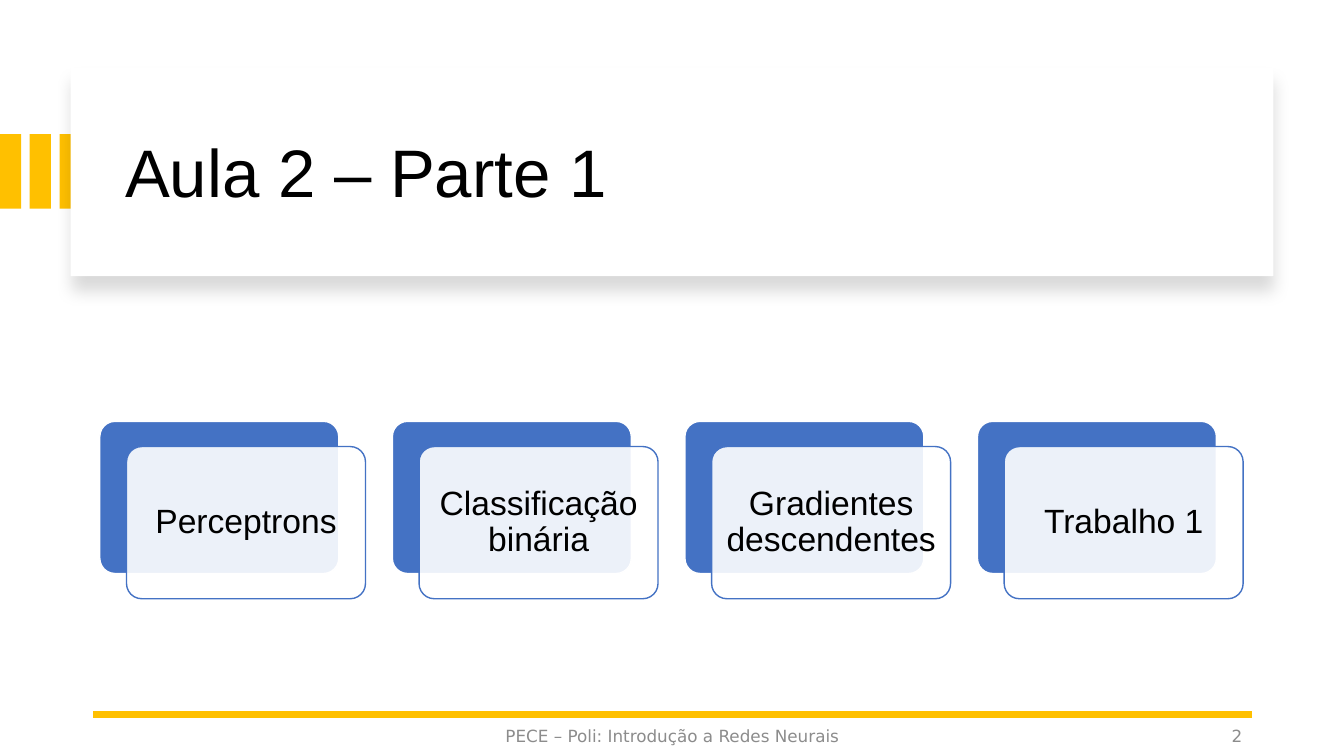
from dataclasses import dataclass

from lxml.etree import SubElement
from pptx import Presentation
from pptx.dml.color import RGBColor
from pptx.enum.shapes import MSO_CONNECTOR, MSO_SHAPE
from pptx.enum.text import MSO_ANCHOR, MSO_AUTO_SIZE, PP_ALIGN
from pptx.oxml.ns import qn
from pptx.util import Inches, Pt


@dataclass(frozen=True)
class Theme:
    """Colours, fonts and type sizes of the slide."""
    white: str = "FFFFFF"
    black: str = "000000"
    gold: str = "FFC000"
    blue: str = "4472C4"
    grey: str = "8C8C8C"
    font: str = "Arial"
    footer_font: str = "DejaVu Sans"
    title_size: int = 48
    card_size: int = 24
    footer_size: int = 12


THEME = Theme()


def add_box(s, kind, box, fill, line=None):
    """Add a filled shape without shadow, outlined if a line colour is given."""
    sp = s.shapes.add_shape(kind, *map(Inches, box))
    sp.shadow.inherit = False
    sp.fill.solid()
    sp.fill.fore_color.rgb = RGBColor.from_string(fill)
    if line:
        sp.line.color.rgb = RGBColor.from_string(line)
        sp.line.width = Pt(1)
    else:
        sp.line.fill.background()
    return sp


def write(sp, text, font, size, color, align, spacing=None, after=0):
    """Write one formatted paragraph, vertically centred in a shape."""
    tf = sp.text_frame
    tf.word_wrap = True
    tf.auto_size = MSO_AUTO_SIZE.NONE
    tf.vertical_anchor = MSO_ANCHOR.MIDDLE
    p = tf.paragraphs[0]
    p.alignment = align
    p.line_spacing = spacing
    p.space_after = Pt(after)
    r = p.add_run()
    r.text = text
    r.font.name = font
    r.font.size = Pt(size)
    r.font.color.rgb = RGBColor.from_string(color)


def add_alpha(color, percent):
    """Set the opacity of a colour element."""
    SubElement(color, qn("a:alpha"), val=str(percent * 1000))


def add_header(s, left, top, width, height, text):
    """Draw the gold bars, the shadowed panel and the title."""
    for i in range(3):
        add_box(s, MSO_SHAPE.RECTANGLE, (i * 0.295, top + 0.66, 0.21, 0.74), THEME.gold)
    panel = add_box(s, MSO_SHAPE.RECTANGLE, (left, top, width, height), THEME.white)
    effects = panel._element.spPr.find(qn("a:effectLst"))
    shadow = SubElement(effects, qn("a:outerShdw"), blurRad=str(Pt(11)),
                        dist=str(Pt(10)), dir="5400000", algn="t", rotWithShape="0")
    add_alpha(SubElement(shadow, qn("a:srgbClr"), val=THEME.black), 15)

    title = s.shapes.title
    title.left, title.top = Inches(left + 0.44), Inches(top + 0.22)
    title.width, title.height = Inches(width - 0.8), Inches(height - 0.37)
    write(title, text, THEME.font, THEME.title_size, THEME.black, PP_ALIGN.LEFT, 0.9)
    panel._element.addnext(title._element)


def add_card(s, left, top, width, height, text):
    """Draw a blue card with a translucent labelled card offset over it."""
    add_box(s, MSO_SHAPE.ROUNDED_RECTANGLE, (left, top, width, height),
            THEME.blue, THEME.white).adjustments[0] = 0.1
    x, y = left + 0.265, top + 0.25
    front = add_box(s, MSO_SHAPE.ROUNDED_RECTANGLE, (x, y, width, height),
                    THEME.white, THEME.blue)
    front.adjustments[0] = 0.1
    add_alpha(front._element.spPr.find(qn("a:solidFill"))[0], 90)

    inset = 0.04
    label = s.shapes.add_textbox(Inches(x + inset), Inches(y + inset),
                                 Inches(width - 2 * inset), Inches(height - 2 * inset))
    tf = label.text_frame
    tf.margin_left = tf.margin_right = tf.margin_top = tf.margin_bottom = Inches(0.1)
    write(label, text, THEME.font, THEME.card_size, THEME.black, PP_ALIGN.CENTER, 0.9, 8.4)


def add_cards(s, left, top, width, height, topics):
    """Lay out one card per topic in an evenly spaced row."""
    card_width, offset = 2.37, 0.265
    step = (width - offset - card_width) / (len(topics) - 1)
    for i, topic in enumerate(topics):
        add_card(s, left + i * step, top, card_width, height - 0.25, topic)


def add_footer(s, left, top, width, text, number):
    """Draw the gold rule with the centred footer and the page number."""
    rule = s.shapes.add_connector(MSO_CONNECTOR.STRAIGHT, Inches(left + width), Inches(top),
                                  Inches(left), Inches(top))
    rule.line.color.rgb = RGBColor.from_string(THEME.gold)
    rule.line.width = Pt(4.5)
    SubElement(rule._element.spPr, qn("a:effectLst"))
    for x, w, content, align in (
        (left + 3.5, 4.5, text, PP_ALIGN.CENTER),
        (left + width - 3, 3, number, PP_ALIGN.RIGHT),
    ):
        box = s.shapes.add_textbox(Inches(x), Inches(top + 0.01), Inches(w), Inches(0.4))
        write(box, content, THEME.footer_font, THEME.footer_size, THEME.grey, align, after=6)


def main():
    """Build the agenda slide and save it."""
    prs = Presentation()
    prs.slide_width, prs.slide_height = Inches(13.33), Inches(7.5)
    s = prs.slides.add_slide(prs.slide_layouts[5])
    add_header(s, 0.7, 0.67, 11.93, 2.07, "Aula 2 – Parte 1")
    add_footer(s, 0.92, 7.09, 11.5, "PECE – Poli: Introdução a Redes Neurais", "2")
    add_cards(s, 0.99, 4.18, 11.34, 1.76, (
        "Perceptrons",
        "Classificação binária",
        "Gradientes descendentes",
        "Trabalho 1",
    ))
    prs.save("out.pptx")


if __name__ == "__main__":
    main()
